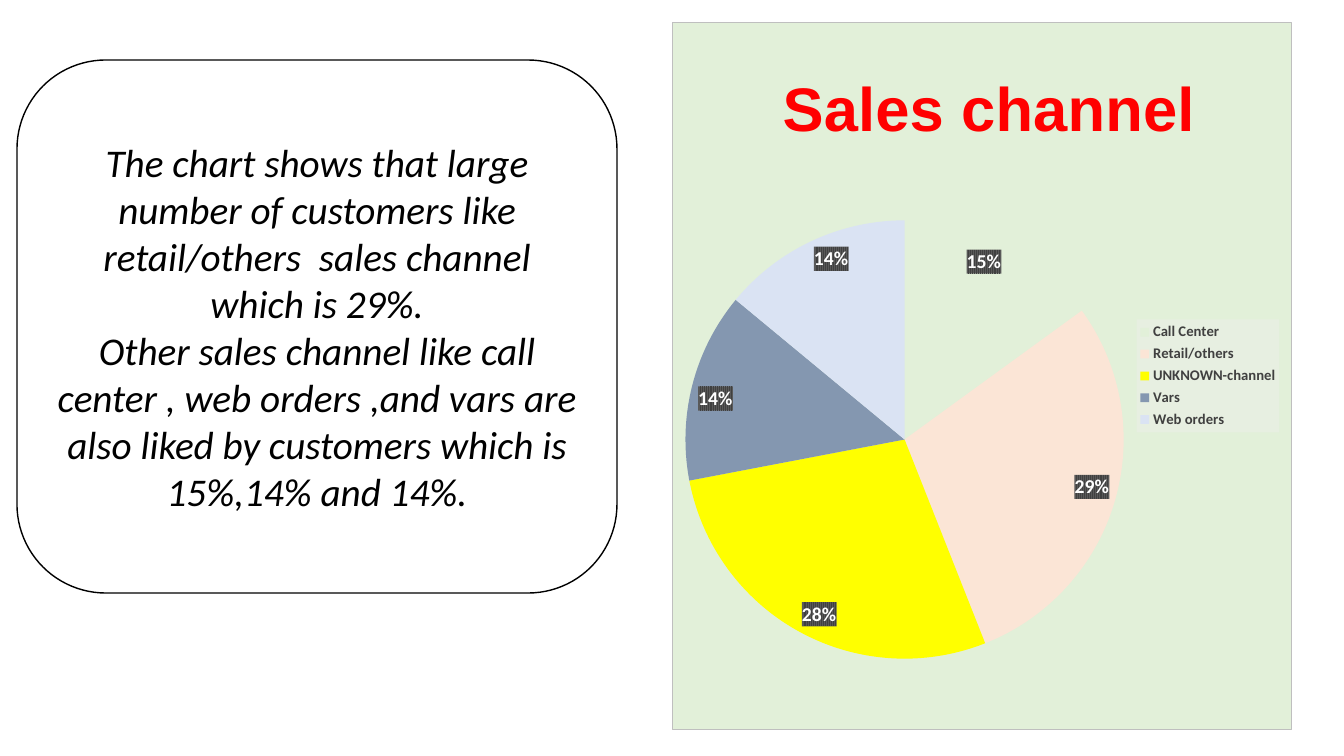
"""Build the sales channel slide: a rounded text panel beside a pie chart."""
from lxml.etree import SubElement
from pptx import Presentation
from pptx.chart.data import CategoryChartData
from pptx.dml.color import RGBColor
from pptx.enum.chart import XL_CHART_TYPE, XL_LABEL_POSITION, XL_LEGEND_POSITION
from pptx.enum.shapes import MSO_SHAPE
from pptx.enum.text import MSO_ANCHOR, PP_ALIGN
from pptx.oxml import parse_xml
from pptx.oxml.ns import nsdecls, qn
from pptx.util import Pt

PX = 914400 / 100.8
COLORS = {
    "black": "000000", "white": "FFFFFF", "title": "FF0000", "panel": "E2F0D9",
    "border": "BFBFBF", "legend": "E7EFE1", "legend text": "404040",
    "label": "404040", "label stripe": "595959",
}
CHANNELS = [
    ("Call Center", 15, "E2F0D9"),
    ("Retail/others", 29, "FBE5D6"),
    ("UNKNOWN-channel", 28, "FFFF00"),
    ("Vars", 14, "8497B0"),
    ("Web orders", 14, "DAE3F3"),
]
PARAGRAPHS = [
    "The chart shows that large number of customers like retail/others  sales channel which is 29%.",
    "Other sales channel like call center , web orders ,and vars are also liked by customers "
    "which is 15%,14% and 14%.",
]


def style(font, size, color, name="Calibri", bold=False, italic=False):
    font.size, font.name, font.bold, font.italic = Pt(size), name, bold, italic
    font.color.rgb = RGBColor.from_string(COLORS[color])


def place(element, index, **fractions):
    for old in element.findall(qn("c:layout")):
        element.remove(old)
    layout = parse_xml(f"<c:layout {nsdecls('c')}><c:manualLayout/></c:layout>")
    element.insert(index, layout)
    if element.tag == qn("c:plotArea"):
        SubElement(layout[0], qn("c:layoutTarget")).set("val", "inner")
    for key in ("x", "y"):
        SubElement(layout[0], qn(f"c:{key}Mode")).set("val", "edge")
    for key, value in fractions.items():
        SubElement(layout[0], qn(f"c:{key}")).set("val", str(value))


prs = Presentation()
prs.slide_width, prs.slide_height = round(1344 * PX), round(756 * PX)
slide = prs.slides.add_slide(prs.slide_layouts[6])

data = CategoryChartData()
data.categories = [name for name, _, _ in CHANNELS]
data.add_series("Series 1", [value for _, value, _ in CHANNELS])
box = [round(v * PX) for v in (672, 22, 620, 708)]
chart = slide.shapes.add_chart(XL_CHART_TYPE.PIE, *box, data).chart
style(chart.font, 10, "black")
chart.element.find(qn("c:chart")).addnext(parse_xml(
    f"<c:spPr {nsdecls('c', 'a')}>"
    f"<a:solidFill><a:srgbClr val='{COLORS['panel']}'/></a:solidFill>"
    f"<a:ln w='9525'><a:solidFill><a:srgbClr val='{COLORS['border']}'/></a:solidFill></a:ln>"
    "</c:spPr>"))

chart.has_title = True
title = chart.chart_title
title.include_in_layout = False
title.text_frame.text = "Sales channel"
style(title.text_frame.paragraphs[0].runs[0].font, 44, "title", "Arial", bold=True)
place(title.element if hasattr(title, "element") else title._element, 1, x=0.16, y=0.05)

plot = chart.plots[0]
plot.vary_by_categories = True
place(chart.element.find(".//" + qn("c:plotArea")), 0, x=0.02, y=0.28, w=0.71, h=0.62)
series = plot.series[0]
for i, (_, _, color) in enumerate(CHANNELS):
    fill = series.points[i].format.fill
    fill.solid()
    fill.fore_color.rgb = RGBColor.from_string(color)

labels = series.data_labels
style(labels.font, 14, "white", bold=True)
labels.show_percentage, labels.show_value = True, False
labels.position = XL_LABEL_POSITION.INSIDE_END
labels._element.find(qn("c:txPr")).addprevious(parse_xml(
    f"<c:spPr {nsdecls('c', 'a')}><a:pattFill prst='narVert'>"
    f"<a:fgClr><a:srgbClr val='{COLORS['label']}'/></a:fgClr>"
    f"<a:bgClr><a:srgbClr val='{COLORS['label stripe']}'/></a:bgClr>"
    "</a:pattFill></c:spPr>"))

chart.has_legend = True
legend = chart.legend
legend.position = XL_LEGEND_POSITION.RIGHT
legend.include_in_layout = False
style(legend.font, 10.5, "legend text", bold=True)
legend_xml = chart.element.find(".//" + qn("c:legend"))
place(legend_xml, 1, x=0.75, y=0.42, w=0.23, h=0.16)
legend_xml.find(qn("c:txPr")).addprevious(parse_xml(
    f"<c:spPr {nsdecls('c', 'a')}><a:solidFill>"
    f"<a:srgbClr val='{COLORS['legend']}'/></a:solidFill></c:spPr>"))

box = [round(v * PX) for v in (17, 60, 600, 533)]
sp = slide.shapes.add_shape(MSO_SHAPE.ROUNDED_RECTANGLE, *box)
sp.shadow.inherit = False
sp.fill.solid()
sp.fill.fore_color.rgb = RGBColor.from_string(COLORS["white"])
sp.line.color.rgb = RGBColor.from_string(COLORS["black"])
sp.line.width = Pt(1)
tf = sp.text_frame
tf.word_wrap = True
tf.vertical_anchor = MSO_ANCHOR.MIDDLE
tf.text = "\n".join(PARAGRAPHS)
for p in tf.paragraphs:
    p.alignment = PP_ALIGN.CENTER
    style(p.runs[0].font, 28, "black", italic=True)

prs.save("out.pptx")
